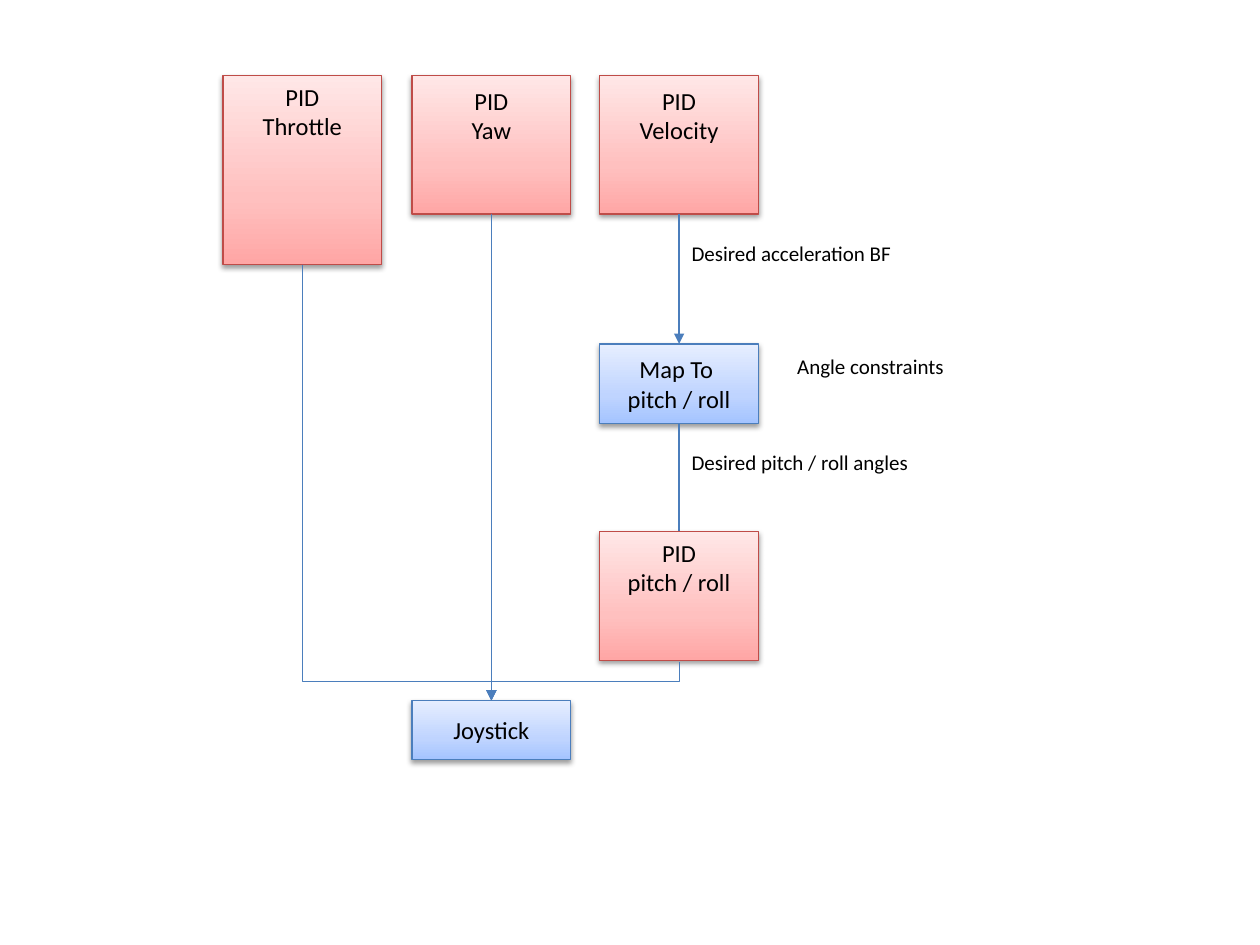
from copy import deepcopy
from dataclasses import dataclass

from lxml.etree import SubElement
from pptx import Presentation
from pptx.dml.color import RGBColor
from pptx.enum.shapes import MSO_CONNECTOR, MSO_SHAPE
from pptx.enum.text import MSO_ANCHOR, MSO_AUTO_SIZE, PP_ALIGN
from pptx.oxml import parse_xml
from pptx.oxml.ns import nsdecls, qn
from pptx.util import Inches, Pt


@dataclass(frozen=True)
class Theme:
    font: str = "Calibri"
    text: str = "000000"
    box_size: int = 14
    label_size: int = 12
    line_width: float = 0.75
    blue_line: str = "4B7EBC"
    red_line: str = "BF4C48"
    blue: tuple = ("A4C4FF", "BFD4FF", "E6EEFF")
    red: tuple = ("FFA6A5", "FFC0BF", "FFE7E7")
    stops: tuple = (0, 0.35, 1)


THEME = Theme()
BOX_W = 1.26
LEFT, MIDDLE, RIGHT = 1.77, 3.27, 4.76   # left edges of the three columns
TOP, JOYSTICK_Y, MERGE_Y = 0.6, 5.56, 5.41

SHADOW = (
    f'<a:effectLst {nsdecls("a")}><a:outerShdw blurRad="{Pt(3.1)}" dist="{Pt(1.6)}" '
    'dir="5400000" rotWithShape="0"><a:srgbClr val="000000"><a:alpha val="38000"/>'
    '</a:srgbClr></a:outerShdw></a:effectLst>'
)


def center(left):
    return left + BOX_W / 2


def write(tf, text, size, align):
    tf.text = text
    font_format = {"name": THEME.font, "size": Pt(size)}
    for p in tf.paragraphs:
        p.alignment = align
        for r in p.runs:
            for name, value in font_format.items():
                setattr(r.font, name, value)
            r.font.color.rgb = RGBColor.from_string(THEME.text)


def fill_gradient(s, colors):
    s.fill.gradient()
    s.fill.gradient_angle = 90
    stop_list = s.element.spPr.find(qn("a:gradFill")).find(qn("a:gsLst"))
    stop_list.append(deepcopy(stop_list[-1]))
    for stop, position, color in zip(s.fill.gradient_stops, THEME.stops, colors):
        stop.position = position
        stop.color.rgb = RGBColor.from_string(color)


def set_line(s, color):
    s.line.color.rgb = RGBColor.from_string(color)
    s.line.width = Pt(THEME.line_width)


def add_box(slide, left, top, height, text, colors, line, text_top=None):
    """Gradient box; text is centred unless text_top sets its top inset."""
    s = slide.shapes.add_shape(MSO_SHAPE.RECTANGLE, Inches(left), Inches(top),
                               Inches(BOX_W), Inches(height))
    fill_gradient(s, colors)
    set_line(s, line)
    s.element.spPr.append(parse_xml(SHADOW))
    tf = s.text_frame
    tf.vertical_anchor = MSO_ANCHOR.MIDDLE
    if text_top is not None:
        tf.vertical_anchor = MSO_ANCHOR.TOP
        tf.margin_top = Inches(text_top)
    write(tf, text, THEME.box_size, PP_ALIGN.CENTER)


def add_label(slide, left, top, width, text, align=PP_ALIGN.LEFT):
    s = slide.shapes.add_textbox(Inches(left), Inches(top), Inches(width), Inches(0.3))
    tf = s.text_frame
    tf.word_wrap = False
    tf.auto_size = MSO_AUTO_SIZE.SHAPE_TO_FIT_TEXT
    write(tf, text, THEME.label_size, align)


def add_arrow(slide, kind, x1, y1, x2, y2):
    s = slide.shapes.add_connector(kind, Inches(x1), Inches(y1), Inches(x2), Inches(y2))
    set_line(s, THEME.blue_line)
    SubElement(s.line._get_or_add_ln(), qn("a:tailEnd"), type="triangle")
    SubElement(s.element.spPr, qn("a:effectLst"))
    return s


def add_down_arrow(slide, x, y1, y2):
    add_arrow(slide, MSO_CONNECTOR.STRAIGHT, x, y1, x, y2)


def add_elbow_down(slide, x1, y1, x2, y2, bend_y):
    """Elbow that leaves downwards, crosses at bend_y and arrives downwards."""
    cx, cy = (x1 + x2) / 2, (y1 + y2) / 2
    half_w, half_h = (y2 - y1) / 2, abs(x2 - x1) / 2
    # The frame lies on its side, mirrored when the line runs to the right
    side = -1 if x2 > x1 else 1
    s = add_arrow(slide, MSO_CONNECTOR.ELBOW, cx - side * half_w, cy - half_h,
                  cx + side * half_w, cy + half_h)
    spPr = s.element.spPr
    spPr.find(qn("a:xfrm")).set("rot", str((90 if side > 0 else 270) * 60000))
    bend = round((bend_y - y1) / (y2 - y1) * 100000)
    guides = spPr.find(qn("a:prstGeom")).get_or_add_avLst()
    SubElement(guides, qn("a:gd"), name="adj1", fmla=f"val {bend}")


def main():
    prs = Presentation()
    prs.slide_width, prs.slide_height = Inches(10), Inches(7.5)
    slide = prs.slides.add_slide(prs.slide_layouts[6])
    red = {"colors": THEME.red, "line": THEME.red_line}
    blue = {"colors": THEME.blue, "line": THEME.blue_line}

    # Velocity chain
    add_box(slide, RIGHT, TOP, 1.1, "PID\nVelocity", text_top=0.08, **red)
    add_box(slide, RIGHT, 2.73, 0.63, "Map To \npitch / roll", **blue)
    add_down_arrow(slide, center(RIGHT), 1.7, 2.73)
    add_label(slide, center(RIGHT), 1.86, 1.99, "Desired acceleration BF")
    add_label(slide, 6.1, 2.76, 1.49, "Angle constraints", PP_ALIGN.RIGHT)
    add_down_arrow(slide, center(RIGHT), 3.36, 4.38)
    add_label(slide, center(RIGHT), 3.52, 2.08, "Desired pitch / roll angles")
    add_box(slide, RIGHT, 4.22, 1.02, "PID\npitch / roll", text_top=0.05, **red)

    # Throttle, yaw and joystick
    add_box(slide, LEFT, TOP, 1.5, "PID\nThrottle", text_top=0.05, **red)
    add_box(slide, MIDDLE, TOP, 1.1, "PID\nYaw", text_top=0.08, **red)
    add_box(slide, MIDDLE, JOYSTICK_Y, 0.47, "Joystick", **blue)

    # Lines merging into the joystick
    for left, bottom, bend_y in ((MIDDLE, 1.7, 3.63), (RIGHT, 5.25, MERGE_Y),
                                 (LEFT, 2.1, MERGE_Y)):
        add_elbow_down(slide, center(left), bottom, center(MIDDLE), JOYSTICK_Y, bend_y)

    prs.save("out.pptx")


if __name__ == "__main__":
    main()
